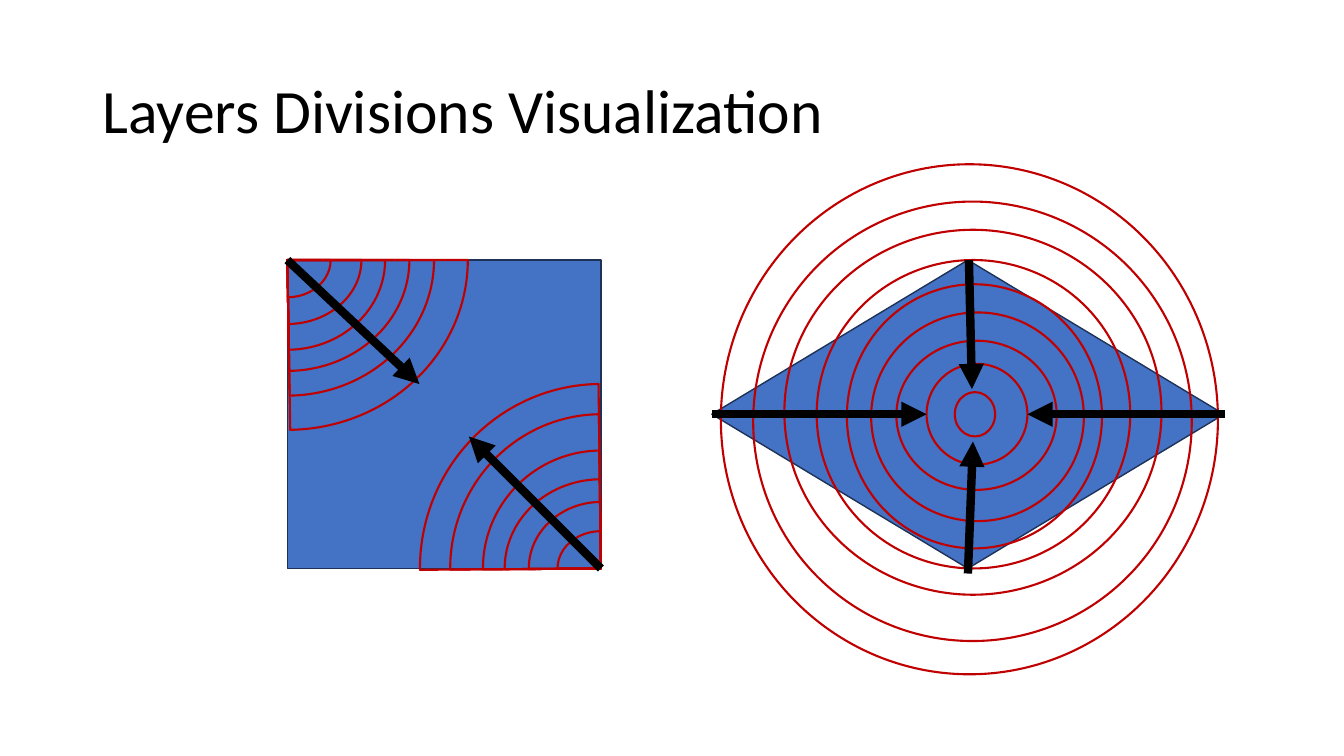
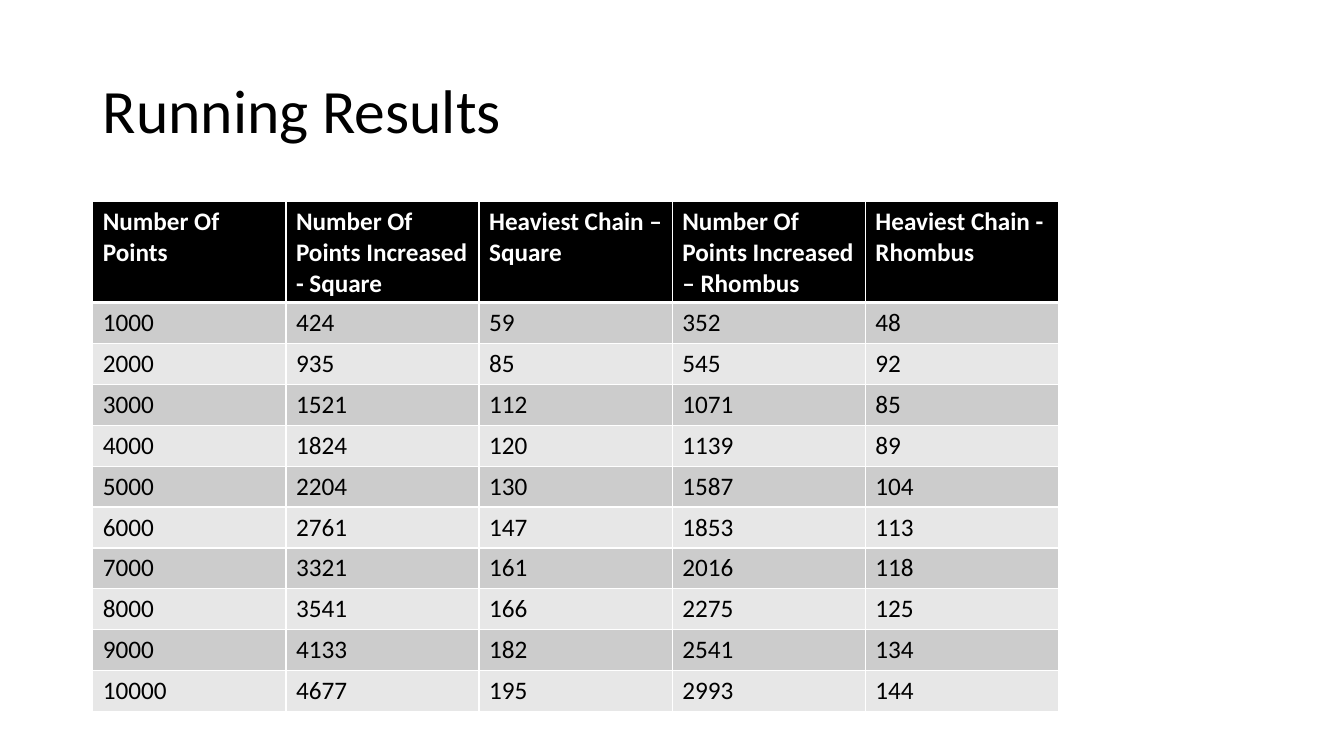
import pptx
import pptx.util
import pptx.dml.color
import pptx.enum.shapes
import pptx.enum.text
import pptx.oxml
import pptx.oxml.ns
import lxml.etree

Inches = pptx.util.Inches
Pt = pptx.util.Pt
Shapes = pptx.enum.shapes.MSO_SHAPE

FONT = "Calibri"
COLORS = {
    "text": "000000",
    "white": "FFFFFF",
    "area": "4472C4",
    "area_edge": "1E3256",
    "layer": "C00000",
    "header": "000000",
    "odd_row": "CCCCCC",
    "even_row": "E7E7E7",
}

TITLE_BOX = (0.92, 0.4, 11.5, 1.45)
SQUARE_BOX = (2.85, 2.58, 3.11, 3.06)
RHOMBUS_BOX = (7.06, 2.58, 5.08, 3.06)
TABLE_BOX = (0.92, 2, 9.58, 5.06)
HEADER_HEIGHT = 1

TOP_LEFT_LAYERS = [(0.86, 0.74), (1.47, 1.27), (1.94, 1.78),
                   (2.42, 2.2), (2.91, 2.69), (3.58, 3.37)]
BOTTOM_RIGHT_LAYERS = [(0.86, 0.74), (1.43, 1.32), (1.91, 1.77),
                       (2.34, 2.34), (2.99, 3.06), (3.59, 3.66)]
RHOMBUS_LAYERS = [
    (2.41, 1.31, 0.4, 0.44),
    (2.13, 1.03, 1, 1),
    (1.83, 0.8, 1.59, 1.48),
    (1.58, 0.52, 2.11, 2.07),
    (1.34, 0.24, 2.53, 2.62),
    (1.04, 0, 3.11, 3.06),
    (0.72, -0.3, 3.74, 3.62),
    (0.41, -0.58, 4.35, 4.36),
    (0.09, -0.95, 4.93, 5.06),
]
SQUARE_ARROWS = [((0, 0), (1.31, 1.23)), ((3.11, 3.06), (1.8, 1.75))]
RHOMBUS_ARROWS = [
    ((2.54, 3.11), (2.59, 1.8)),
    ((0, 1.53), (2.13, 1.53)),
    ((2.55, 0), (2.58, 1.28)),
    ((5.09, 1.53), (3.13, 1.53)),
]

RESULTS = [
    ("Number Of Points", "Number Of Points Increased - Square",
     "Heaviest Chain –\nSquare", "Number Of Points Increased – Rhombus",
     "Heaviest Chain - Rhombus"),
    (1000, 424, 59, 352, 48),
    (2000, 935, 85, 545, 92),
    (3000, 1521, 112, 1071, 85),
    (4000, 1824, 120, 1139, 89),
    (5000, 2204, 130, 1587, 104),
    (6000, 2761, 147, 1853, 113),
    (7000, 3321, 161, 2016, 118),
    (8000, 3541, 166, 2275, 125),
    (9000, 4133, 182, 2541, 134),
    (10000, 4677, 195, 2993, 144),
]


def color(name):
    return pptx.dml.color.RGBColor.from_string(COLORS[name])


def style_text(text_frame, size, color_name, bold=False):
    for para in text_frame.paragraphs:
        for span in para.runs:
            span.font.name = FONT
            span.font.size = Pt(size)
            span.font.bold = bold
            span.font.color.rgb = color(color_name)


def add_page(deck, title):
    page = deck.slides.add_slide(deck.slide_layouts[6])
    frame = page.shapes.add_textbox(*map(Inches, TITLE_BOX)).text_frame
    frame.word_wrap = True
    frame.vertical_anchor = pptx.enum.text.MSO_ANCHOR.MIDDLE
    frame.text = title
    frame.paragraphs[0].line_spacing = 0.9
    style_text(frame, 44, "text")
    return page


def add_outline(page, kind, box, line, width, fill=None):
    shape = page.shapes.add_shape(kind, *map(Inches, box))
    shape.shadow.inherit = False
    if fill:
        shape.fill.solid()
        shape.fill.fore_color.rgb = color(fill)
    else:
        shape.fill.background()
    shape.line.color.rgb = color(line)
    shape.line.width = Pt(width)
    return shape


def add_area(page, kind, box):
    add_outline(page, kind, box, "area_edge", 1, "area")


def add_layer(page, kind, box):
    return add_outline(page, kind, box, "layer", 1.5)


def add_corner_layers(page, corner, sizes, start, end):
    x, y = corner
    for width, height in sizes:
        pie = add_layer(page, Shapes.PIE,
                        (x - width / 2, y - height / 2, width, height))
        for index, degrees in enumerate((start, end)):
            pie.adjustments[index] = degrees * 0.6


def add_arrows(page, box, arrows):
    left, top = box[:2]
    for (x1, y1), (x2, y2) in arrows:
        arrow = page.shapes.add_connector(
            pptx.enum.shapes.MSO_CONNECTOR.STRAIGHT,
            Inches(left + x1), Inches(top + y1),
            Inches(left + x2), Inches(top + y2))
        arrow.line.color.rgb = color("text")
        arrow.line.width = Pt(6)
        properties = arrow._element.spPr
        line = properties.find(pptx.oxml.ns.qn("a:ln"))
        lxml.etree.SubElement(line, pptx.oxml.ns.qn("a:tailEnd"), type="triangle")
        lxml.etree.SubElement(properties, pptx.oxml.ns.qn("a:effectLst"))


def add_square(page, box):
    left, top, width, height = box
    add_area(page, Shapes.RECTANGLE, box)
    add_corner_layers(page, (left, top), TOP_LEFT_LAYERS, 0, 89.02)
    add_corner_layers(page, (left + width, top + height),
                      BOTTOM_RIGHT_LAYERS, 179.55, 269.25)
    add_arrows(page, box, SQUARE_ARROWS)


def add_rhombus(page, box):
    left, top = box[:2]
    add_area(page, Shapes.DIAMOND, box)
    for x, y, width, height in RHOMBUS_LAYERS:
        add_layer(page, Shapes.OVAL, (left + x, top + y, width, height))
    add_arrows(page, box, RHOMBUS_ARROWS)


def set_borders(cell, top, bottom):
    properties = cell._tc.get_or_add_tcPr()
    widths = {"lnL": 1, "lnR": 1, "lnT": top, "lnB": bottom}
    for index, (side, width) in enumerate(widths.items()):
        border = pptx.oxml.parse_xml(
            f'<a:{side} {pptx.oxml.ns.nsdecls("a")} w="{Pt(width)}">'
            f'<a:solidFill><a:srgbClr val="{COLORS["white"]}"/></a:solidFill>'
            f'</a:{side}>')
        properties.insert(index, border)


def add_results(page, box):
    table = page.shapes.add_table(
        len(RESULTS), len(RESULTS[0]), *map(Inches, box)).table
    table.horz_banding = False
    for column in table.columns:
        column.width = Inches(box[2] / len(RESULTS[0]))
    body_height = (box[3] - HEADER_HEIGHT) / (len(RESULTS) - 1)
    for row_index, values in enumerate(RESULTS):
        header = row_index == 0
        fill = "header" if header else "odd_row" if row_index % 2 else "even_row"
        table.rows[row_index].height = Inches(HEADER_HEIGHT if header else body_height)
        for column_index, value in enumerate(values):
            cell = table.cell(row_index, column_index)
            cell.text_frame.text = str(value)
            style_text(cell.text_frame, 18, "white" if header else "text", header)
            cell.fill.solid()
            cell.fill.fore_color.rgb = color(fill)
            set_borders(cell, 3 if row_index == 1 else 1, 3 if header else 1)


def build_layers_page(deck):
    page = add_page(deck, "Layers Divisions Visualization")
    add_rhombus(page, RHOMBUS_BOX)
    add_square(page, SQUARE_BOX)


def build_results_page(deck):
    page = add_page(deck, "Running Results")
    add_results(page, TABLE_BOX)


def main():
    deck = pptx.Presentation()
    deck.slide_width = Inches(13.33)
    deck.slide_height = Inches(7.5)
    build_layers_page(deck)
    build_results_page(deck)
    deck.save("out.pptx")


if __name__ == "__main__":
    main()
